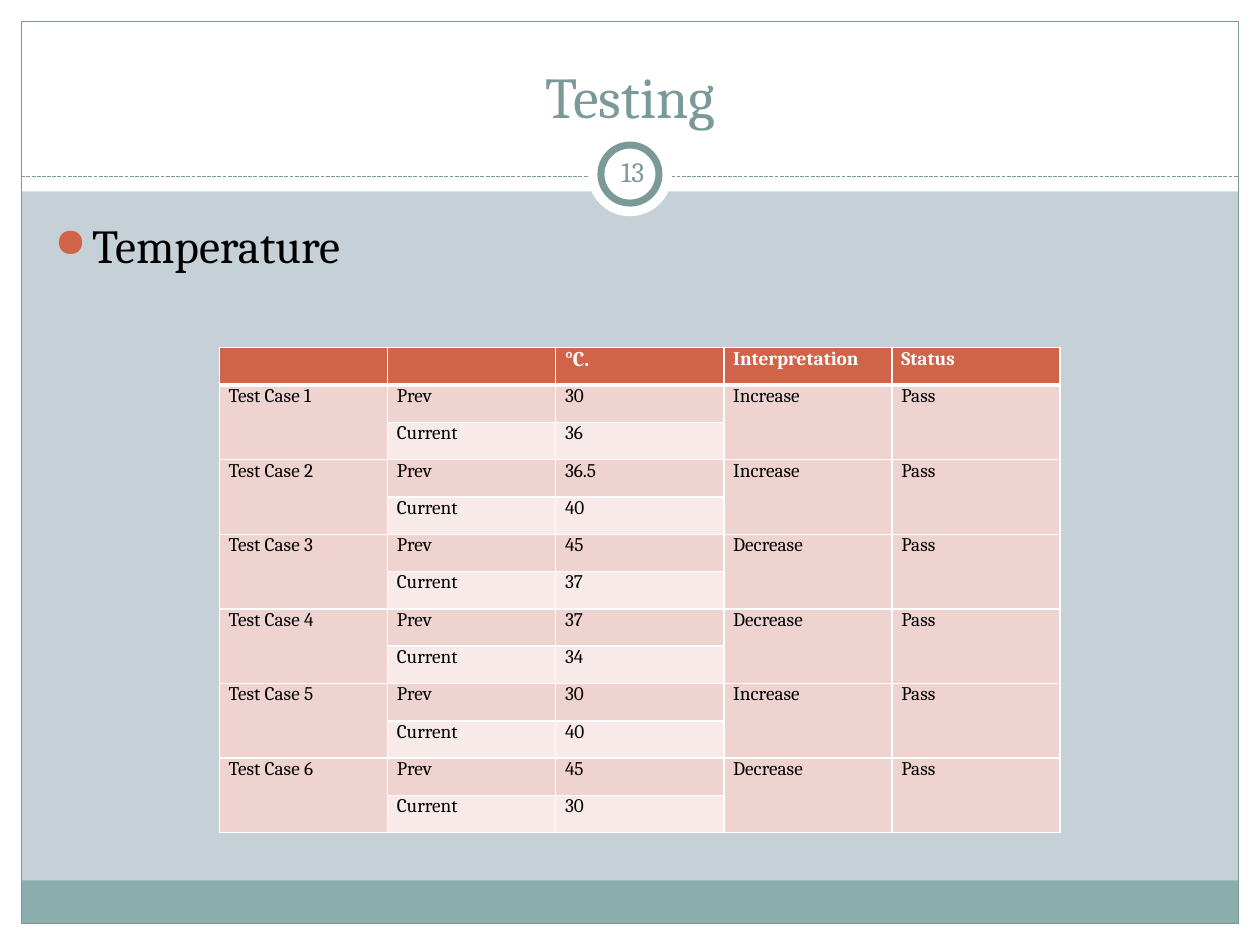
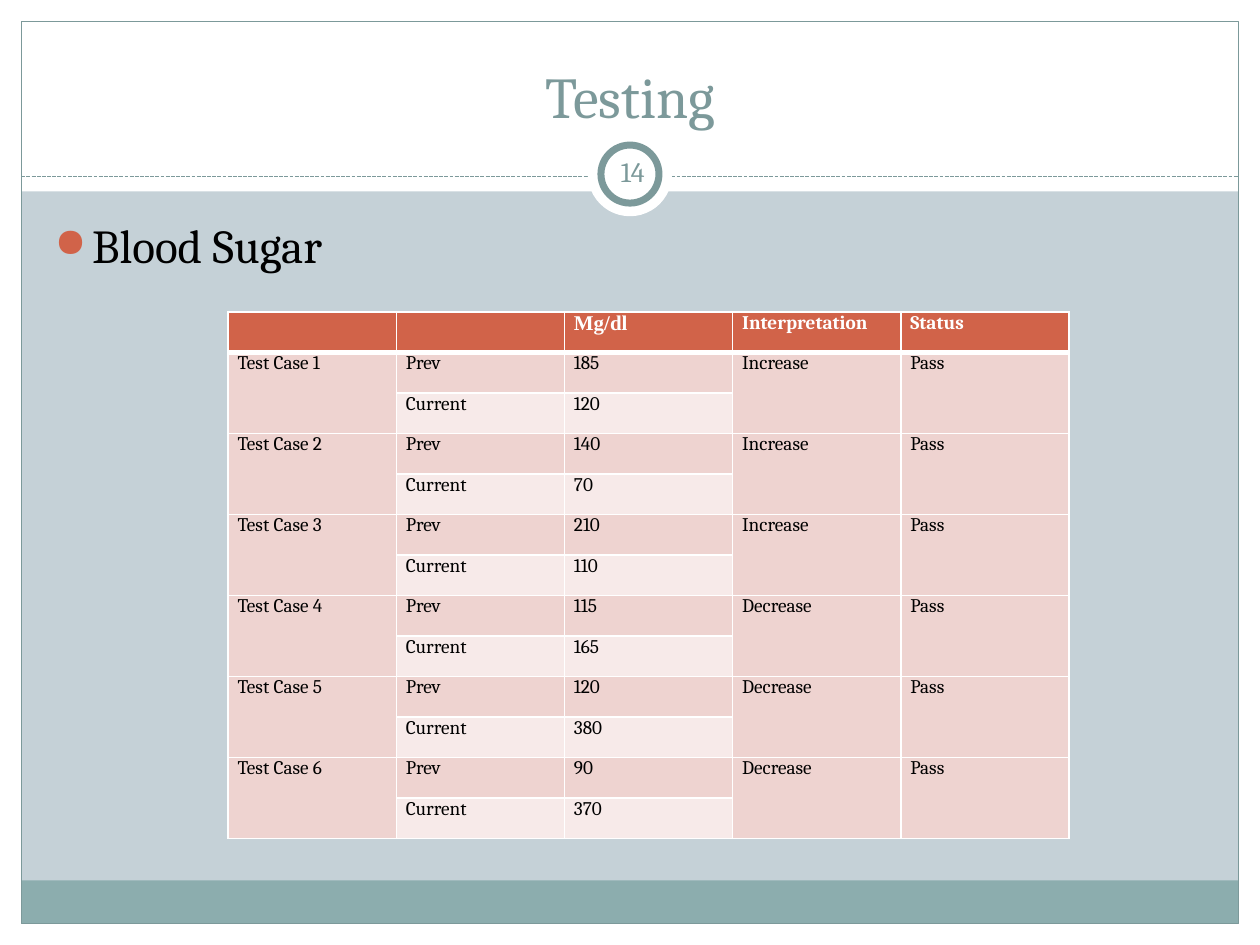
"""Build two testing slides, each with a table of measured test cases."""
from lxml.etree import SubElement
from pptx import Presentation
from pptx.dml.color import RGBColor as RGB
from pptx.enum.dml import MSO_LINE
from pptx.enum.shapes import MSO_CONNECTOR, MSO_SHAPE as SHAPE
from pptx.enum.text import MSO_ANCHOR as ANCHOR, PP_ALIGN as ALIGN
from pptx.oxml.ns import qn
from pptx.util import Cm, Pt

COLORS = {
    "page": "C5D1D7",
    "white": "FFFFFF",
    "black": "000000",
    "band": "8CADAE",
    "teal": "7C999A",
    "accent": "D16349",
    "row_dark": "EED3D0",
    "row_light": "F7EAE9",
}
W, H, EDGE = 25.4, 19.05, 0.43
FRAME_W = W - 2 * EDGE
RULE_Y = 3.56


def color(name):
    return RGB.from_string(COLORS[name])


def write(tf, text, size=11, fill="black", font="Cambria", bold=False, align=ALIGN.LEFT):
    p = tf.paragraphs[0]
    p.alignment = align
    if not text:
        SubElement(p._p, qn("a:endParaRPr"), sz=str(size * 100))
        return p
    r = p.add_run()
    r.text = text
    r.font.size = Pt(size)
    r.font.name = font
    r.font.bold = bold
    r.font.color.rgb = color(fill)
    return p


class Deck:
    def __init__(self):
        self.prs = Presentation()
        self.prs.slide_width, self.prs.slide_height = Cm(W), Cm(H)
        self.s = None

    def shape(self, x, y, w, h, fill=None, line=None, width=0.75, kind=SHAPE.RECTANGLE):
        sp = self.s.shapes.add_shape(kind, Cm(x), Cm(y), Cm(w), Cm(h))
        sp.shadow.inherit = False
        if fill:
            sp.fill.solid()
            sp.fill.fore_color.rgb = color(fill)
        else:
            sp.fill.background()
        if line:
            sp.line.color.rgb = color(line)
            sp.line.width = Pt(width)
        else:
            sp.line.fill.background()

    def disc(self, cx, cy, d, **style):
        self.shape(cx - d / 2, cy - d / 2, d, d, kind=SHAPE.OVAL, **style)

    def rule(self, x1, x2, y):
        c = self.s.shapes.add_connector(MSO_CONNECTOR.STRAIGHT, Cm(x1), Cm(y), Cm(x2), Cm(y))
        c.line.color.rgb = color("teal")
        c.line.width = Pt(0.75)
        c.line.dash_style = MSO_LINE.SQUARE_DOT
        SubElement(c._element.spPr, qn("a:effectLst"))

    def text(self, x, y, w, h, text, anchor=ANCHOR.TOP, inset=None, **style):
        tf = self.s.shapes.add_textbox(Cm(x), Cm(y), Cm(w), Cm(h)).text_frame
        tf.word_wrap = True
        tf.vertical_anchor = anchor
        if inset is not None:
            tf.margin_left = tf.margin_right = tf.margin_top = tf.margin_bottom = Cm(inset)
        return write(tf, text, **style)

    def bullet(self, x, y, w, h, text):
        p = self.text(x, y, w, h, text, size=27)
        p.space_before = Pt(5.4)
        pPr = p._p.get_or_add_pPr()
        pPr.set("marL", str(Cm(0.76)))
        pPr.set("indent", str(-Cm(0.76)))
        clr = SubElement(pPr, qn("a:buClr"))
        SubElement(clr, qn("a:srgbClr"), val=COLORS["accent"])
        SubElement(pPr, qn("a:buSzPct"), val="85000")
        SubElement(pPr, qn("a:buChar"), char="●")

    def cell(self, cell, text, fill, top=1, bottom=1, **style):
        cell.margin_left = cell.margin_right = Cm(0.19)
        cell.margin_top = cell.margin_bottom = 0
        tcPr = cell._tc.get_or_add_tcPr()
        for side, width in zip("LRTB", (1, 1, top, bottom)):
            ln = SubElement(tcPr, qn(f"a:ln{side}"), w=str(Pt(width)))
            SubElement(SubElement(ln, qn("a:solidFill")), qn("a:srgbClr"), val=COLORS["white"])
        cell.fill.solid()
        cell.fill.fore_color.rgb = color(fill)
        write(cell.text_frame, text, **style)

    def test_table(self, x, y, h, unit, cases, unit_font):
        rows = [("", "", unit, "Interpretation", "Status")]
        for n, (prev, current, trend) in enumerate(cases, 1):
            rows += [(f"Test Case {n}", "Prev", prev, trend, "Pass"),
                     ("", "Current", current, "", "")]
        cols = len(rows[0])
        tbl = self.s.shapes.add_table(len(rows), cols, Cm(x), Cm(y), Cm(3.39 * cols), Cm(h)).table
        for row in tbl.rows:
            row.height = Cm(h / len(rows))
        for i, row in enumerate(rows):
            for j, text in enumerate(row):
                if i == 0:
                    style = dict(fill="accent", bottom=3)
                    font = dict(size=12, font=unit_font) if j == 2 else {}
                    self.header_cell(tbl.cell(i, j), text, style, font)
                else:
                    shade = "row_dark" if i % 2 or j not in (1, 2) else "row_light"
                    self.cell(tbl.cell(i, j), text, shade, top=3 if i == 1 else 1)
        for i in range(1, len(rows), 2):
            for j in (0, 3, 4):
                tbl.cell(i, j).merge(tbl.cell(i + 1, j))

    def header_cell(self, cell, text, style, font):
        self.cell(cell, text, style["fill"], bottom=style["bottom"])
        for r in cell.text_frame.paragraphs[0].runs:
            r.font.bold = True
            r.font.color.rgb = color("white")
            r.font.size = Pt(font.get("size", 11))
            r.font.name = font.get("font", "Cambria")

    def slide(self, title, number, topic):
        self.s = self.prs.slides.add_slide(self.prs.slide_layouts[6])
        self.s.background.fill.solid()
        self.s.background.fill.fore_color.rgb = color("page")
        for box in ((0, H - EDGE, W, EDGE), (0, 0, W, 3.86),
                    (0, 0, EDGE, H), (W - EDGE, 0, EDGE, H)):
            self.shape(*box, fill="white")
        self.shape(EDGE, 17.75, FRAME_W, 0.87, fill="band")
        self.shape(EDGE, EDGE, FRAME_W, H - 2 * EDGE, line="teal")
        self.rule(EDGE, W - EDGE, RULE_Y)
        self.disc(W / 2, 3.51, 1.7, fill="white")
        self.disc(W / 2, 3.51, 1.17, fill="white", line="teal", width=4)
        self.text(0.85, 0.64, 23.7, 2.11, title, anchor=ANCHOR.BOTTOM,
                  size=33, fill="teal", align=ALIGN.CENTER)
        self.text(12.12, 2.84, 1.27, 1.22, str(number), anchor=ANCHOR.MIDDLE, inset=0.13,
                  size=16, fill="teal", align=ALIGN.CENTER)
        self.bullet(0.85, 4.24, 23.62, 12.7, topic)


def main():
    deck = Deck()
    deck.slide("Testing", 13, "Temperature")
    deck.test_table(4.42, 7.01, 9.78, "°C.", [
        ("30", "36", "Increase"),
        ("36.5", "40", "Increase"),
        ("45", "37", "Decrease"),
        ("37", "34", "Decrease"),
        ("30", "40", "Increase"),
        ("45", "30", "Decrease"),
    ], "Cambria")
    deck.slide("Testing", 14, "Blood Sugar")
    deck.test_table(4.6, 6.29, 10.62, "Mg/dl", [
        ("185", "120", "Increase"),
        ("140", "70", "Increase"),
        ("210", "110", "Increase"),
        ("115", "165", "Decrease"),
        ("120", "380", "Decrease"),
        ("90", "370", "Decrease"),
    ], "Times New Roman")
    deck.prs.save("out.pptx")


if __name__ == "__main__":
    main()
